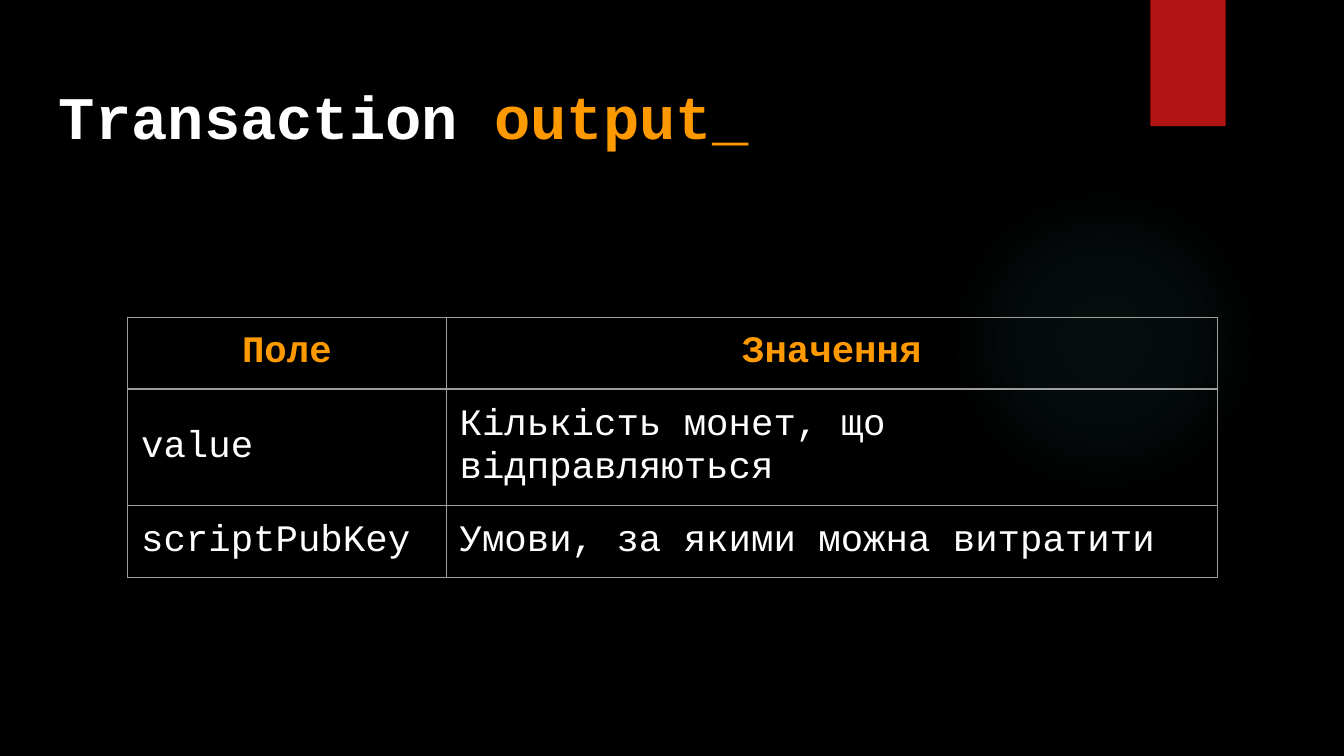
from dataclasses import dataclass

from lxml.etree import SubElement
from pptx import Presentation
from pptx.dml.color import RGBColor
from pptx.enum.shapes import MSO_SHAPE as SHAPE
from pptx.enum.text import MSO_ANCHOR as ANCHOR, PP_ALIGN as ALIGN
from pptx.oxml import parse_xml
from pptx.oxml.ns import nsdecls, qn
from pptx.util import Inches, Pt


@dataclass(frozen=True)
class Theme:
    font: str = "Courier New"
    title_size: float = 32.4
    table_size: float = 20
    background: str = "000000"
    text: str = "FFFFFF"
    accent: str = "FF9900"
    ribbon: str = "B01513"
    glow: str = "50B9C1"
    border: str = "9E9E9E"


THEME = Theme()
INSET = Inches(0.1)
GLOW_STOPS = ((0, 7), (36, 6), (69, 0), (100, 0))
ROWS = (
    ("Поле", "Значення"),
    ("value", "Кількість монет, що відправляються"),
    ("scriptPubKey", "Умови, за якими можна витратити"),
)
FIELD_WIDTH = Inches(2.37)
ROW_HEIGHT = Inches(0.42)


def rgb(value):
    return RGBColor.from_string(value)


def style_font(font, size, color, bold):
    font.name = THEME.font
    font.size = Pt(size)
    font.bold = bold
    font.color.rgb = rgb(color)


def set_insets(target):
    target.margin_left = target.margin_right = INSET
    target.margin_top = target.margin_bottom = INSET


def add_plain_shape(slide, kind, box):
    sp = slide.shapes.add_shape(kind, *map(Inches, box))
    sp.shadow.inherit = False
    sp.line.fill.background()
    return sp


def add_decoration(slide, box):
    left, top, width, height = box
    glow = add_plain_shape(
        slide, SHAPE.OVAL, (left, top + 1.38, width, width))
    stops = "".join(
        f'<a:gs pos="{pos * 1000}"><a:srgbClr val="{THEME.glow}">'
        f'<a:alpha val="{alpha * 1000}"/></a:srgbClr></a:gs>'
        for pos, alpha in GLOW_STOPS)
    gradient = parse_xml(
        f'<a:gradFill {nsdecls("a")} rotWithShape="1"><a:gsLst>{stops}</a:gsLst>'
        '<a:path path="circle">'
        '<a:fillToRect l="50000" t="50000" r="50000" b="50000"/>'
        '</a:path></a:gradFill>')
    glow.element.spPr.find(qn("a:prstGeom")).addnext(gradient)
    ribbon = add_plain_shape(
        slide, SHAPE.RECTANGLE, (left + 1.5, top, 0.56, 0.94))
    ribbon.fill.solid()
    ribbon.fill.fore_color.rgb = rgb(THEME.ribbon)


def add_title(slide, box):
    tf = slide.shapes.add_textbox(*map(Inches, box)).text_frame
    tf.word_wrap = True
    tf.vertical_anchor = ANCHOR.TOP
    set_insets(tf)
    p = tf.paragraphs[0]
    for text, color in (("Transaction ", THEME.text), ("output_", THEME.accent)):
        r = p.add_run()
        r.text = text
        style_font(r.font, THEME.title_size, color, True)


def set_borders(cell):
    tc_pr = cell._tc.get_or_add_tcPr()
    for index, side in enumerate(("lnL", "lnR", "lnT", "lnB")):
        line = parse_xml(
            f'<a:{side} {nsdecls("a")} w="{Pt(0.75)}"><a:solidFill/></a:{side}>')
        SubElement(line[0], qn("a:srgbClr"), val=THEME.border)
        tc_pr.insert(index, line)


def fill_cell(cell, text, header):
    set_insets(cell)
    cell.vertical_anchor = ANCHOR.MIDDLE
    cell.fill.background()
    set_borders(cell)
    p = cell.text_frame.paragraphs[0]
    p.text = text
    p.alignment = ALIGN.CENTER if header else ALIGN.LEFT
    style_font(p.font, THEME.table_size,
               THEME.accent if header else THEME.text, header)


def add_field_table(slide, box):
    left, top, width, height = map(Inches, box)
    frame = slide.shapes.add_table(
        len(ROWS), len(ROWS[0]), left, top, width, height)
    table = frame.table
    table.horz_banding = False
    table.columns[0].width = FIELD_WIDTH
    table.columns[1].width = width - FIELD_WIDTH
    for row in table.rows:
        row.height = ROW_HEIGHT
    frame.height = height
    for i, texts in enumerate(ROWS):
        for j, text in enumerate(texts):
            fill_cell(table.cell(i, j), text, header=i == 0)


def main():
    prs = Presentation()
    prs.slide_width = Inches(10)
    prs.slide_height = prs.slide_width * 9 // 16
    slide = prs.slides.add_slide(prs.slide_layouts[6])
    slide.background.fill.solid()
    slide.background.fill.fore_color.rgb = rgb(THEME.background)
    add_decoration(slide, (7.06, 0, 2.31, 3.69))
    add_title(slide, (0.34, 0.49, 9.32, 0.63))
    add_field_table(slide, (0.95, 2.36, 8.11, 1.93))
    prs.save("out.pptx")


if __name__ == "__main__":
    main()
